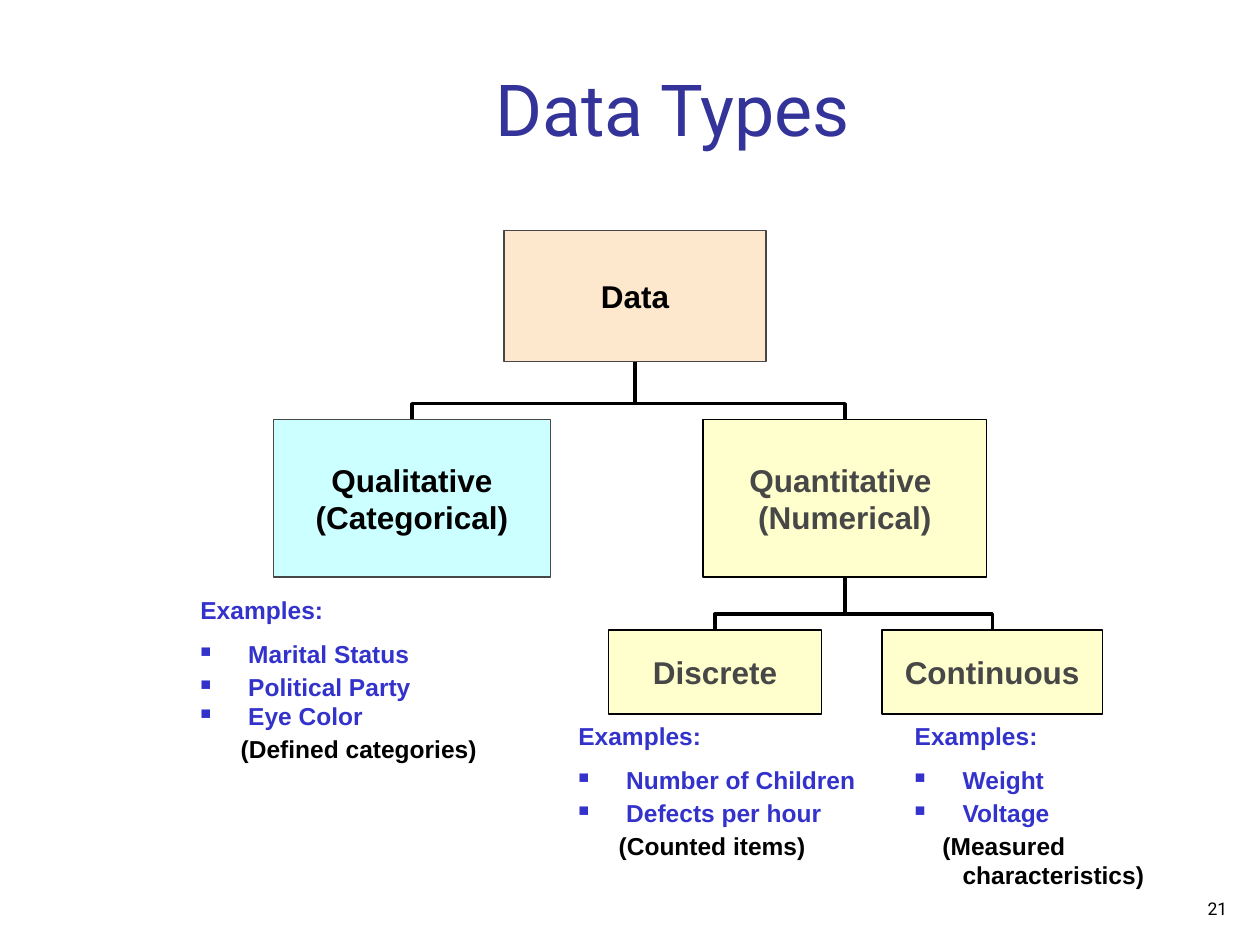
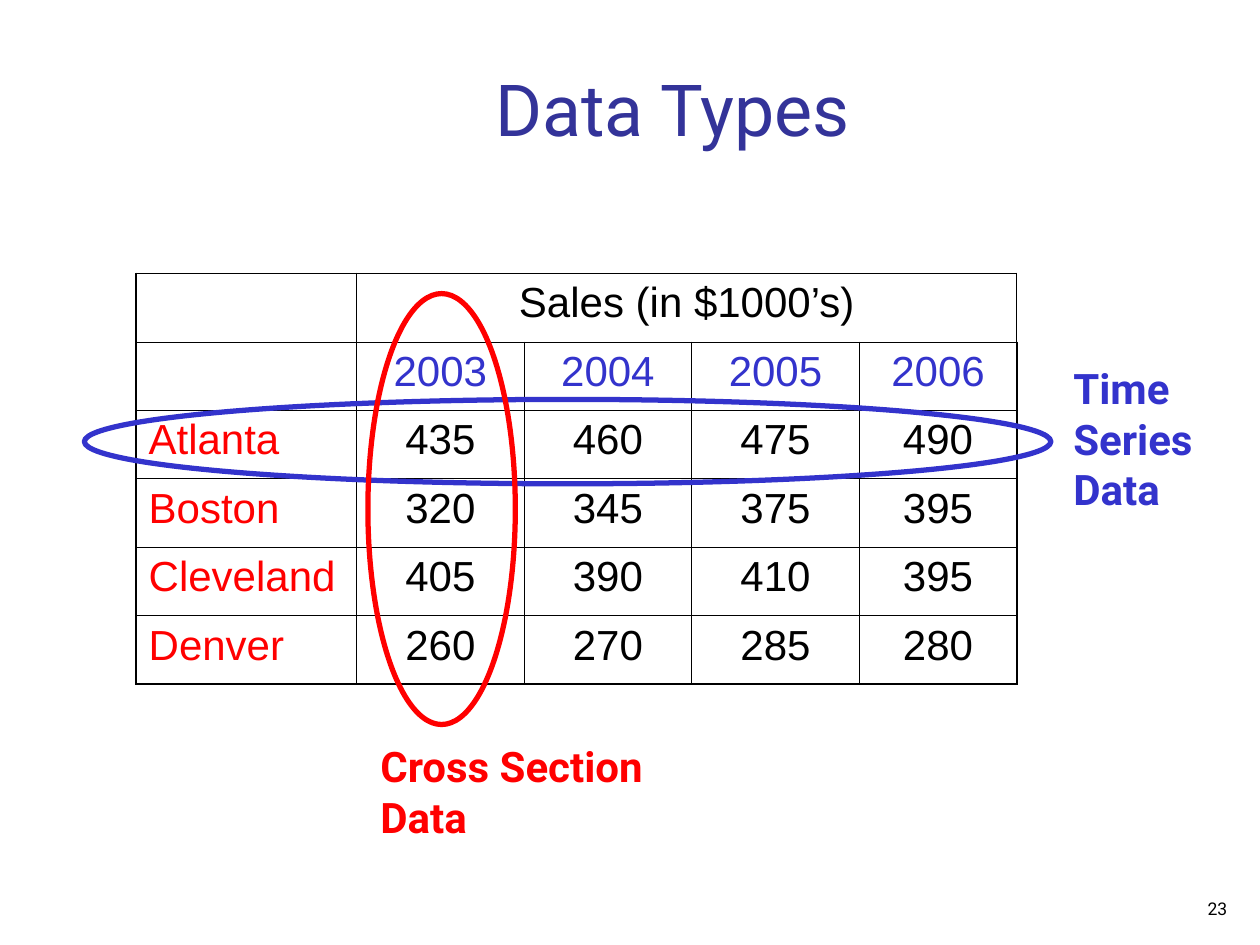
from dataclasses import dataclass

from lxml.etree import SubElement
from pptx import Presentation
from pptx.dml.color import RGBColor
from pptx.enum.shapes import MSO_CONNECTOR, MSO_SHAPE
from pptx.enum.text import MSO_ANCHOR, MSO_AUTO_SIZE, PP_ALIGN
from pptx.oxml.ns import qn
from pptx.presentation import Presentation as Deck
from pptx.shapes.autoshape import Shape
from pptx.slide import Slide
from pptx.table import _Cell as Cell
from pptx.text.text import TextFrame, _Paragraph as Paragraph
from pptx.util import Inches, Pt

COLORS = {
    "title": "333399",
    "blue": "3333CC",
    "red": "FF0000",
    "black": "000000",
    "gray": "474747",
    "peach": "FDD29F",
    "cyan": "CCFFFF",
    "yellow": "FFFFCD",
}
HEADING_FONT = "Roboto"
BODY_FONT = "Arial"
HANGING = 0.38


@dataclass(frozen=True)
class Area:
    left: float
    top: float
    width: float
    height: float

    def lengths(self) -> tuple[int, ...]:
        return tuple(Inches(v) for v in (self.left, self.top, self.width, self.height))


@dataclass(frozen=True)
class TreeBox:
    text: str
    area: Area
    fill: str
    line: str
    font: str
    opacity: int = 100


@dataclass(frozen=True)
class Branch:
    child: str
    parent: str
    bend: int


@dataclass(frozen=True)
class ExampleList:
    area: Area
    items: tuple[str, ...]
    note: str
    note_indent: float


@dataclass(frozen=True)
class Highlight:
    ring: Area
    label: str
    label_area: Area
    color: str


TREE_BOXES = (
    TreeBox("Data", Area(4, 1.83, 2.08, 1.04), "peach", "gray", "black", 50),
    TreeBox("Qualitative\n(Categorical)", Area(2.17, 3.33, 2.2, 1.25), "cyan", "gray", "black"),
    TreeBox("Quantitative \n(Numerical)", Area(5.58, 3.33, 2.25, 1.25), "yellow", "black", "gray"),
    TreeBox("Discrete", Area(4.83, 5, 1.69, 0.67), "yellow", "black", "gray"),
    TreeBox("Continuous", Area(7, 5, 1.75, 0.67), "yellow", "black", "gray"),
)
BRANCHES = (
    Branch("Continuous", "Quantitative", 29900),
    Branch("Discrete", "Quantitative", 29900),
    Branch("Quantitative", "Data", 27300),
    Branch("Qualitative", "Data", 27300),
)
EXAMPLE_LISTS = (
    ExampleList(Area(1.5, 4.67, 2.75, 1.43), ("Marital Status", "Political Party", "Eye Color"),
                "(Defined categories)", -0.06),
    ExampleList(Area(4.5, 5.67, 2.5, 1.2), ("Number of Children", "Defects per hour"),
                "(Counted items)", -0.06),
    ExampleList(Area(7.17, 5.67, 2.5, 1.43), ("Weight", "Voltage"),
                "(Measured characteristics)", -0.16),
)
SALES_ROWS = (
    ("", "Sales (in $1000’s)", "", "", ""),
    ("", "2003", "2004", "2005", "2006"),
    ("Atlanta", "435", "460", "475", "490"),
    ("Boston", "320", "345", "375", "395"),
    ("Cleveland", "405", "390", "410", "395"),
    ("Denver", "260", "270", "285", "280"),
)
SALES_WIDTHS = (1.75, 1.33, 1.33, 1.33, 1.25)
HIGHLIGHTS = (
    Highlight(Area(0.67, 3.17, 7.67, 0.67), "Time Series Data", Area(8.42, 2.83, 1.25, 1.3), "blue"),
    Highlight(Area(2.92, 2.33, 1.17, 3.42), "Cross Section Data", Area(2.92, 5.83, 2.5, 0.9), "red"),
)


def rgb(name: str) -> RGBColor:
    return RGBColor.from_string(COLORS[name])


def style_para(para: Paragraph, size: float, color: str, font: str = BODY_FONT,
               bold: bool = False, align: PP_ALIGN = PP_ALIGN.LEFT, before: float = 0) -> None:
    para.alignment = align
    para.space_before = Pt(before)
    for span in para.runs:
        span.font.size = Pt(size)
        span.font.name = font
        span.font.bold = bold
        span.font.color.rgb = rgb(color)


def set_margins(frame: TextFrame, side: float) -> None:
    frame.margin_left = frame.margin_right = Inches(side)
    frame.margin_top = frame.margin_bottom = Inches(0.05)


def add_text(page: Slide, area: Area, text: str, side: float = 0.09) -> TextFrame:
    frame = page.shapes.add_textbox(*area.lengths()).text_frame
    frame.word_wrap = True
    set_margins(frame, side)
    frame.text = text
    return frame


def add_page(deck: Deck, number: str) -> Slide:
    page = deck.slides.add_slide(deck.slide_layouts[5])
    title = page.shapes.title
    title.left, title.top, title.width, title.height = Area(1.08, 0.42, 8.52, 0.83).lengths()
    frame = title.text_frame
    frame.text = "Data Types"
    frame.auto_size = MSO_AUTO_SIZE.NONE
    frame.vertical_anchor = MSO_ANCHOR.BOTTOM
    set_margins(frame, 0.09)
    style_para(frame.paragraphs[0], 41, "title", HEADING_FONT, align=PP_ALIGN.CENTER)
    footer = add_text(page, Area(7.75, 7, 2.08, 0.34), number)
    footer.vertical_anchor = MSO_ANCHOR.BOTTOM
    style_para(footer.paragraphs[0], 10, "black", HEADING_FONT, align=PP_ALIGN.RIGHT)
    return page


def add_tree_box(page: Slide, item: TreeBox) -> Shape:
    box = page.shapes.add_shape(MSO_SHAPE.RECTANGLE, *item.area.lengths())
    box.shadow.inherit = False
    box.fill.solid()
    box.fill.fore_color.rgb = rgb(item.fill)
    if item.opacity < 100:
        color = box.fill._xPr.find(qn("a:solidFill"))[0]
        SubElement(color, qn("a:alpha"), val=str(item.opacity * 1000))
    box.line.color.rgb = rgb(item.line)
    box.line.width = Pt(1)
    frame = box.text_frame
    frame.word_wrap = False
    frame.vertical_anchor = MSO_ANCHOR.MIDDLE
    set_margins(frame, 0.1)
    frame.text = item.text
    for para in frame.paragraphs:
        style_para(para, 18, item.font, bold=True, align=PP_ALIGN.CENTER)
    return box


def add_branch(page: Slide, child: Shape, parent: Shape, bend: int) -> None:
    start_x, start_y = child.left + child.width // 2, child.top
    end_x, end_y = parent.left + parent.width // 2, parent.top + parent.height
    link = page.shapes.add_connector(MSO_CONNECTOR.ELBOW, start_x, start_y, end_x, end_y)
    link.begin_connect(child, 0)
    link.end_connect(parent, 2)
    link.line.color.rgb = rgb("black")
    link.line.width = Pt(2)
    rise, run = start_y - end_y, abs(start_x - end_x)
    link.left = (start_x + end_x - rise) // 2
    link.top = (start_y + end_y - run) // 2
    link.width, link.height = rise, run
    properties = link._element.spPr
    frame = properties.find(qn("a:xfrm"))
    to_left = start_x < end_x
    frame.set("rot", str((90 if to_left else 270) * 60000))
    frame.set("flipH", "1" if to_left else "0")
    frame.set("flipV", "1")
    guides = properties.find(qn("a:prstGeom")).get_or_add_avLst()
    SubElement(guides, qn("a:gd"), name="adj1", fmla=f"val {bend}")
    SubElement(properties, qn("a:effectLst"))


def indent_para(para: Paragraph, first_line: float, bullet: bool = False) -> None:
    properties = para._p.get_or_add_pPr()
    properties.set("marL", str(Inches(HANGING)))
    properties.set("indent", str(Inches(first_line)))
    if bullet:
        color = SubElement(properties, qn("a:buClr"))
        SubElement(color, qn("a:srgbClr"), val=COLORS["blue"])
        SubElement(properties, qn("a:buSzPct"), val="60000")
        SubElement(properties, qn("a:buChar"), char="■")


def add_examples(page: Slide, examples: ExampleList) -> None:
    frame = add_text(page, examples.area, "\n".join(("Examples:", *examples.items, examples.note)))
    heading, *items, note = frame.paragraphs
    style_para(heading, 14, "blue", bold=True, before=8.8)
    indent_para(heading, -HANGING)
    for para, before in zip(items, (8.8, 1.8, 0)):
        style_para(para, 14, "blue", bold=True, before=before)
        indent_para(para, -HANGING, bullet=True)
    style_para(note, 14, "black", bold=True, before=1.8)
    indent_para(note, examples.note_indent)


def set_border(cell: Cell, side: str, width: float) -> None:
    line = SubElement(cell._tc.get_or_add_tcPr(), qn(f"a:{side}"), w=str(Pt(width)))
    fill = SubElement(line, qn("a:solidFill"))
    SubElement(fill, qn("a:srgbClr"), val=COLORS["black"])


def add_sales_table(page: Slide) -> None:
    last_row, last_column = len(SALES_ROWS) - 1, len(SALES_WIDTHS) - 1
    area = Area(1.08, 2.17, sum(SALES_WIDTHS), 3.26)
    table = page.shapes.add_table(last_row + 1, last_column + 1, *area.lengths()).table
    table.first_row = table.horz_banding = False
    for column, width in zip(table.columns, SALES_WIDTHS):
        column.width = Inches(width)
    for r, values in enumerate(SALES_ROWS):
        for c, value in enumerate(values):
            cell = table.cell(r, c)
            edges = {"lnL": c == 0, "lnR": c == last_column, "lnT": r == 0, "lnB": r == last_row}
            for side, outer in edges.items():
                set_border(cell, side, 1.08 if outer else 0.45)
            cell.fill.background()
            cell.text = value
            color = "red" if c == 0 else "blue" if r == 1 else "black"
            align = PP_ALIGN.LEFT if c == 0 else PP_ALIGN.CENTER
            style_para(cell.text_frame.paragraphs[0], 24, color, align=align, before=6)
    table.cell(0, 1).merge(table.cell(0, last_column))


def add_highlight(page: Slide, item: Highlight) -> None:
    ring = page.shapes.add_shape(MSO_SHAPE.OVAL, *item.ring.lengths())
    ring.shadow.inherit = False
    ring.fill.background()
    ring.line.color.rgb = rgb(item.color)
    ring.line.width = Pt(3)
    label = add_text(page, item.label_area, item.label, 0.1)
    style_para(label.paragraphs[0], 24, item.color, HEADING_FONT, bold=True, before=15)


def build_tree_page(deck: Deck) -> None:
    page = add_page(deck, "21")
    boxes = {item.text.split()[0]: add_tree_box(page, item) for item in TREE_BOXES}
    for branch in BRANCHES:
        add_branch(page, boxes[branch.child], boxes[branch.parent], branch.bend)
    for examples in EXAMPLE_LISTS:
        add_examples(page, examples)


def build_sales_page(deck: Deck) -> None:
    page = add_page(deck, "23")
    add_sales_table(page)
    for item in HIGHLIGHTS:
        add_highlight(page, item)


def main() -> None:
    deck = Presentation()
    deck.slide_width, deck.slide_height = Inches(10), Inches(7.5)
    build_tree_page(deck)
    build_sales_page(deck)
    deck.save("out.pptx")


if __name__ == "__main__":
    main()
